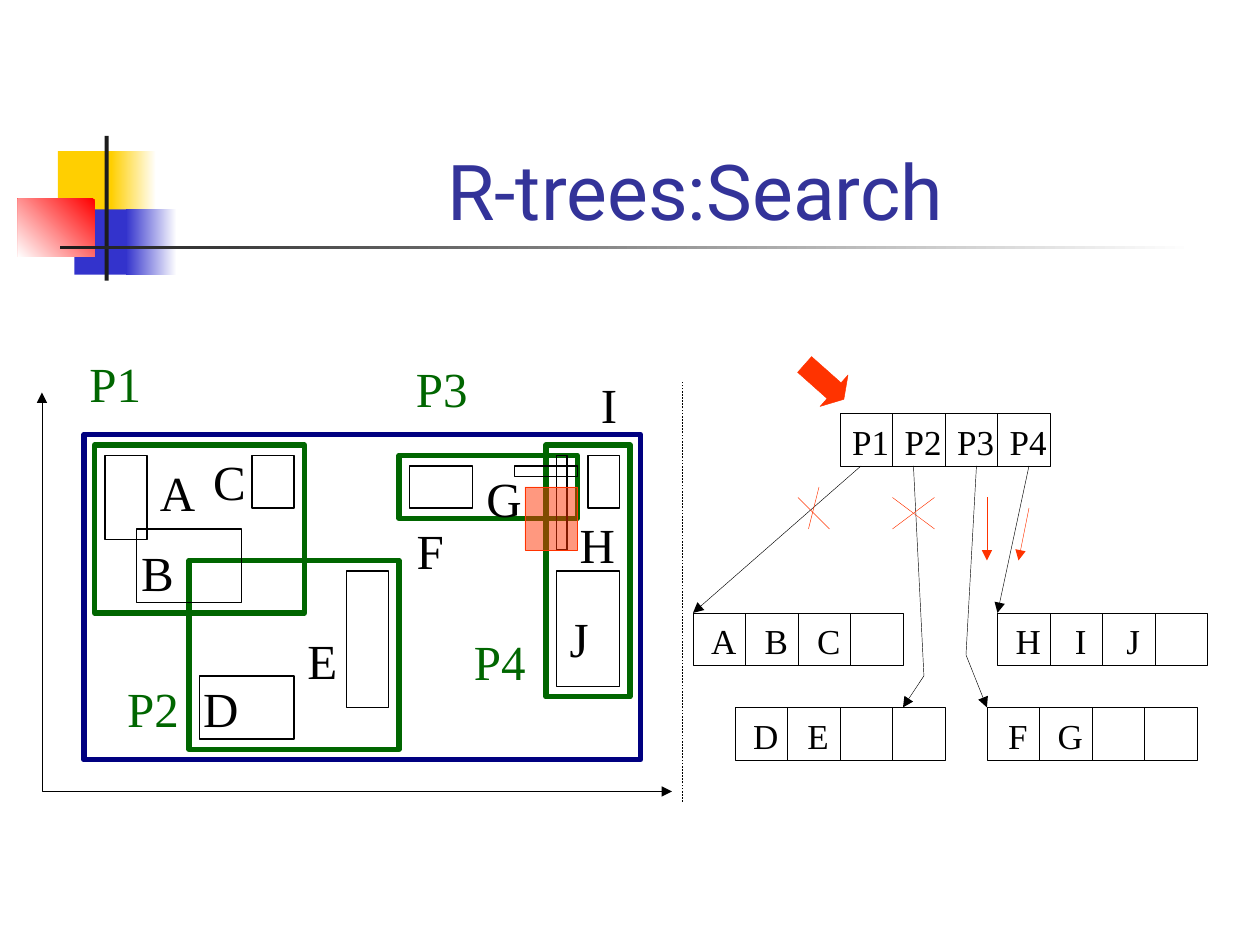
from dataclasses import dataclass

from lxml import etree
from pptx import Presentation
from pptx import util as u
from pptx.dml.color import RGBColor
from pptx.enum import dml, shapes, text
from pptx.oxml.ns import qn


@dataclass(frozen=True)
class Theme:
    yellow: str = "FFCF01"
    blue: str = "3333CC"
    red: str = "FF0000"
    white: str = "FFFFFF"
    charcoal: str = "1C1C1C"
    title: str = "333399"
    green: str = "006600"
    navy: str = "000080"
    black: str = "000000"
    query: str = "FF3300"
    title_font: str = "Roboto"
    label_font: str = "Times New Roman"
    title_size: int = 44
    region_size: int = 28
    cell_size: int = 20
    hairline: float = 0.25
    thin: float = 0.75
    thick: float = 3


THEME = Theme()
RECT = shapes.MSO_SHAPE.RECTANGLE
# The diagram sits on a grid of twelve steps to 2.54 cm, shifted down by TOP.
GRID = u.Cm(2.54) // 12
TOP = u.Cm(0.08)


def draw_line(item, color, weight, fill=None, ends=()):
    """Set line, fill and arrowheads of a shape or connector, without a shadow."""
    item.line.color.rgb = RGBColor.from_string(color)
    item.line.width = u.Pt(weight)
    for end in ends:
        etree.SubElement(item.get_or_add_ln(), qn(f"a:{end}"), type="triangle")
    if hasattr(item, "fill"):
        if fill:
            item.fill.solid()
            item.fill.fore_color.rgb = RGBColor.from_string(fill)
        else:
            item.fill.background()
        item.shadow.inherit = False
    else:
        etree.SubElement(item.element.spPr, qn("a:effectLst"))


def add_label(parent, words, place, size, color, font=THEME.label_font):
    label = parent.add_textbox(*place)
    frame = label.text_frame
    frame.text = words
    frame.word_wrap = False
    frame.vertical_anchor = text.MSO_ANCHOR.MIDDLE
    paragraph = frame.paragraphs[0]
    paragraph.alignment = text.PP_ALIGN.CENTER
    run_font = paragraph.runs[0].font
    run_font.name, run_font.size = font, u.Pt(size)
    run_font.color.rgb = RGBColor.from_string(color)
    return frame


deck = Presentation()
deck.slide_width, deck.slide_height = u.Cm(25.4), u.Cm(19.05)
slide = deck.slides.add_slide(deck.slide_layouts[6])
canvas = slide.shapes

# Decoration beside the title: left, top, width, height, start, end, angle
for *place, start, end, angle in [
    (1.17, 3.05, 1.22, 1.32, THEME.yellow, None, 0),
    (2.24, 3.05, 0.91, 1.32, THEME.white, THEME.yellow, 180),
    (1.5, 4.22, 1.17, 1.32, THEME.blue, None, 0),
    (2.54, 4.22, 1.02, 1.32, THEME.white, THEME.blue, 180),
    (0.36, 4.01, 1.55, 1.17, THEME.red, THEME.white, 225),
    (2.11, 2.74, 0.08, 2.92, THEME.charcoal, None, 0),
    (1.22, 4.95, 22.86, 0.08, THEME.white, THEME.charcoal, 180),
]:
    block = canvas.add_shape(RECT, *map(u.Cm, place))
    block.line.fill.background()
    block.shadow.inherit = False
    if end:
        block.fill.gradient()
        block.fill.gradient_angle = angle
        for stop, color in zip(block.fill.gradient_stops, (start, end)):
            stop.color.rgb = RGBColor.from_string(color)
    else:
        block.fill.solid()
        block.fill.fore_color.rgb = RGBColor.from_string(start)

title = add_label(canvas, "R-trees:Search", map(u.Cm, (3.2, 1.7, 21.64, 3.18)),
                  THEME.title_size, THEME.title, THEME.title_font)
title.word_wrap = True
title.vertical_anchor = text.MSO_ANCHOR.BOTTOM

# Bounding rectangles: column, row, columns, rows
parents = [(9, 42, 20, 16), (52, 42, 8, 24), (18, 53, 20, 18), (38, 43, 17, 6)]
objects = [
    (10, 43, 4, 8), (24, 43, 4, 5), (13, 50, 10, 7), (19, 64, 9, 6),
    (33, 54, 4, 13), (39, 44, 6, 4), (53, 54, 6, 11), (56, 43, 3, 5),
    (49, 44, 6, 1), (53, 43, 1, 9),
]
space = [(8, 41, 53, 31)]
for rectangles, color, weight in [
    (parents, THEME.green, THEME.thick),
    (objects, THEME.black, THEME.thin),
    (space, THEME.navy, THEME.thick),
]:
    for col, row, cols, rows in rectangles:
        region = canvas.add_shape(RECT, col * GRID, TOP + row * GRID, cols * GRID, rows * GRID)
        draw_line(region, color, weight)

# Axes of the plane, then the bent pointers to the lower leaves
for points, ends in [
    ([(4, 37), (4, 75), (64, 75)], ("headEnd", "tailEnd")),
    ([(87, 44), (88, 64), (86, 67)], ("tailEnd",)),
    ([(93, 44), (92, 62), (94, 67)], ("tailEnd",)),
]:
    start, *rest = [(col * GRID, TOP + row * GRID) for col, row in points]
    outline = canvas.build_freeform(*start)
    outline.add_line_segments(rest, close=False)
    draw_line(outline.convert_to_shape(), THEME.black, THEME.hairline, ends=ends)

# Text widths in cm at the region label size
text_width = {"A": 0.71, "B": 0.66, "C": 0.66, "D": 0.71, "E": 0.61, "F": 0.53, "G": 0.71,
              "H": 0.71, "I": 0.33, "J": 0.38, "P1": 1.04, "P2": 1.04, "P3": 1.04, "P4": 1.04}
SIDE_INSETS = 0.51

for name, left, top in [
    ("A", 2.97, 9.19), ("B", 2.59, 10.8), ("C", 4.04, 8.97), ("D", 3.84, 13.54),
    ("E", 5.94, 12.57), ("F", 8.15, 10.36), ("G", 9.55, 9.32), ("H", 11.43, 10.24),
    ("I", 11.86, 7.42), ("J", 11.23, 12.14), ("P1", 1.55, 6.99), ("P2", 2.31, 13.54),
    ("P3", 8.13, 7.09), ("P4", 9.3, 12.6),
]:
    place = map(u.Cm, (left, top, text_width[name] + SIDE_INSETS, 1.45))
    add_label(canvas, name, place, THEME.region_size,
              THEME.green if name.startswith("P") else THEME.black)

# Tree nodes of four cells each
CELL = 5 * GRID
for col, row, entries in [
    (80, 39, ["P1", "P2", "P3", "P4"]),
    (94, 67, ["F", "G"]),
    (70, 67, ["D", "E"]),
    (95, 58, ["H", "I", "J"]),
    (66, 58, ["A", "B", "C"]),
]:
    node = canvas.add_group_shape().shapes
    left, top = col * GRID, TOP + row * GRID
    for index in range(4):
        cell = node.add_shape(RECT, left + index * CELL, top, CELL, CELL)
        draw_line(cell, THEME.black, THEME.hairline)
    for index, name in enumerate(entries):
        width = u.Cm(SIDE_INSETS + text_width[name] * THEME.cell_size / THEME.region_size)
        middle = left + index * CELL + CELL // 2 + u.Cm(0.09)
        add_label(node, name, (middle - width // 2, top, width, u.Cm(1.12)),
                  THEME.cell_size, THEME.black)

query = canvas.add_shape(RECT, 50 * GRID, TOP + 46 * GRID, 5 * GRID, 6 * GRID)
draw_line(query, THEME.query, THEME.hairline, fill=THEME.query)
query_fill = query.element.spPr.find(qn("a:solidFill"))
etree.SubElement(query_fill[0], qn("a:alpha"), val="50000")

entry_arrow = canvas.add_shape(shapes.MSO_SHAPE.RIGHT_ARROW,
                               76 * GRID, TOP + 34 * GRID, 5 * GRID, 4 * GRID)
entry_arrow.rotation = 41.6
entry_arrow.adjustments[1] = 0.31
draw_line(entry_arrow, THEME.query, THEME.hairline, fill=THEME.query)

# Divider, straight pointers, crosses on pruned branches, arrows on followed ones
for x1, y1, x2, y2, color, dashed, ends in [
    (65, 76, 65, 36, THEME.black, True, ()),
    (82, 44, 66, 58, THEME.black, False, ("tailEnd",)),
    (98, 44, 95, 58, THEME.black, False, ("tailEnd",)),
    (76, 47, 79, 50, THEME.query, False, ()),
    (78, 46, 77, 50, THEME.query, False, ()),
    (89, 47, 85, 50, THEME.query, False, ()),
    (85, 47, 89, 50, THEME.query, False, ()),
    (94, 47, 94, 53, THEME.query, False, ("tailEnd",)),
    (98, 48, 97, 53, THEME.query, False, ("tailEnd",)),
]:
    branch = canvas.add_connector(shapes.MSO_CONNECTOR.STRAIGHT, x1 * GRID, TOP + y1 * GRID,
                                  x2 * GRID, TOP + y2 * GRID)
    if dashed:
        branch.line.dash_style = dml.MSO_LINE.DASH
    draw_line(branch, color, THEME.hairline, ends=ends)

deck.save("out.pptx")
